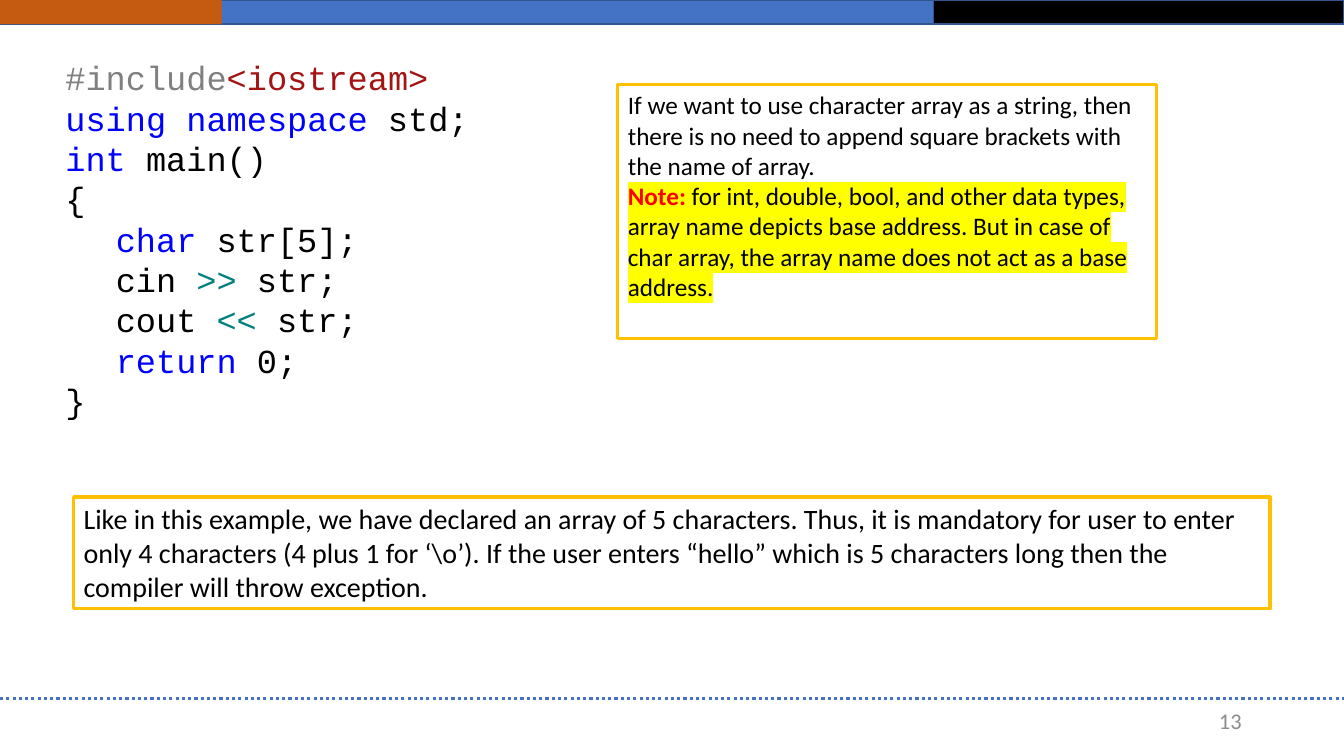
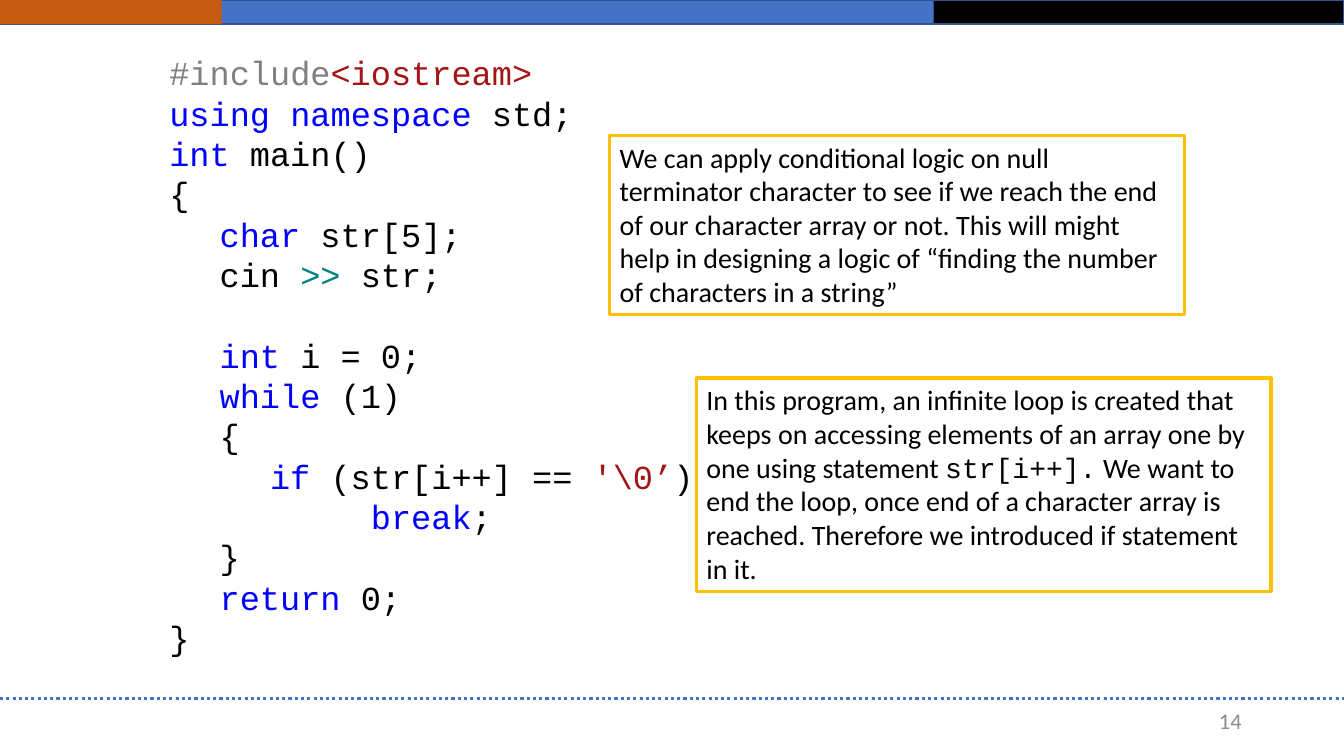
from pptx import Presentation
from pptx.dml.color import RGBColor
from pptx.enum import dml, shapes, text
from pptx.oxml.ns import qn
from pptx.util import Pt

WIDTH, HEIGHT = 960, 540
BAND_HEIGHT = 17.3
FOOTER_Y = 499
INDENT = 36

BODY_FONT, CODE_FONT = "Calibri", "Courier New"
BLACK, BLUE, ORANGE, GOLD = "000000", "4472C4", "C55A11", "FFC000"
BAND_EDGE, GREY, RED, YELLOW = "325491", "8C8C8C", "FF0000", "FFFF00"
DIRECTIVE, LITERAL, KEYWORD, OPERATOR = "808080", "A31515", "0000FF", "008080"

# A code line is (indent level, (text, colour), ...).
PROGRAM_START = [
    (0, ("#include", DIRECTIVE), ("<iostream>", LITERAL)),
    (0, ("using namespace", KEYWORD), (" std;", BLACK)),
    (0, ("int", KEYWORD), (" main()", BLACK)),
    (0, ("{", BLACK)),
    (1, ("char", KEYWORD), (" str[5];", BLACK)),
    (1, ("cin ", BLACK), (">>", OPERATOR), (" str;", BLACK)),
]
PROGRAM_END = [
    (1, ("return", KEYWORD), (" 0;", BLACK)),
    (0, ("}", BLACK)),
]
PRINT_STRING = [
    (1, ("cout ", BLACK), ("<<", OPERATOR), (" str;", BLACK)),
]
FIND_END = [
    (1, ("int ", KEYWORD), ("i = 0;", BLACK)),
    (1, ("while", KEYWORD), (" (1)", BLACK)),
    (1, ("{", BLACK)),
    (2, ("if", KEYWORD), (" (str[i++] == ", BLACK), ("'\\0’", LITERAL),
     (")", BLACK)),
    (4, ("break", KEYWORD), (";", BLACK)),
    (1, ("}", BLACK)),
]


def rgb(color):
    return RGBColor.from_string(color)


def add_run(p, content, size, font=BODY_FONT, color=BLACK, bold=False,
            highlight=None):
    r = p.add_run()
    r.text = content
    r.font.size = Pt(size)
    r.font.name = font
    r.font.bold = bold
    r.font.color.rgb = rgb(color)
    if highlight:
        fill = r._r.rPr.find(qn("a:solidFill"))
        mark = fill.makeelement(qn("a:highlight"), {})
        fill.addnext(mark)
        mark.append(mark.makeelement(qn("a:srgbClr"), {"val": highlight}))


def add_text_box(s, x, y, w, h):
    sp = s.shapes.add_textbox(Pt(x), Pt(y), Pt(w), Pt(h))
    sp.text_frame.word_wrap = True
    return sp


def add_band(s, x, w, color, edge=None):
    sp = s.shapes.add_shape(shapes.MSO_SHAPE.RECTANGLE,
                            Pt(x), 0, Pt(w), Pt(BAND_HEIGHT))
    sp.shadow.inherit = False
    sp.fill.solid()
    sp.fill.fore_color.rgb = rgb(color)
    if edge:
        sp.line.color.rgb = rgb(edge)
        sp.line.width = Pt(1)
    else:
        sp.line.fill.background()


def add_footer(s, number):
    line = s.shapes.add_connector(shapes.MSO_CONNECTOR.STRAIGHT,
                                  0, Pt(FOOTER_Y), Pt(WIDTH), Pt(FOOTER_Y))
    line.line.color.rgb = rgb(BLUE)
    line.line.width = Pt(2.25)
    line.line.dash_style = dml.MSO_LINE.ROUND_DOT
    props = line._element.spPr
    props.append(props.makeelement(qn("a:effectLst"), {}))

    tf = add_text_box(s, 678, 500.4, 216, 28.8).text_frame
    tf.vertical_anchor = text.MSO_ANCHOR.MIDDLE
    p = tf.paragraphs[0]
    p.alignment = text.PP_ALIGN.RIGHT
    add_run(p, str(number), 16, color=GREY)


def new_slide(prs, number):
    """Add a slide with the shared top bands and footer."""
    s = prs.slides.add_slide(prs.slide_layouts[6])
    add_band(s, 0, 667, BLUE, BAND_EDGE)
    add_band(s, 667, WIDTH - 667, BLACK, BAND_EDGE)
    add_band(s, 0, 158.4, ORANGE)
    add_footer(s, number)
    return s


def add_code(s, x, y, h, lines, gap_before=None):
    """Set code lines, with one line of space before the line gap_before."""
    tf = add_text_box(s, x, y, 480, h).text_frame
    for i, (level, *parts) in enumerate(lines):
        p = tf.paragraphs[0] if i == 0 else tf.add_paragraph()
        if level:
            p._p.get_or_add_pPr().set("marL", str(Pt(level * INDENT)))
        if i == gap_before:
            p.space_before = Pt(29)
        for content, color in parts:
            add_run(p, content, 24, CODE_FONT, color)


def add_note(s, x, y, w, h, size, *paragraphs):
    """Add a gold-framed box; a paragraph is a list of (text, run options)."""
    sp = add_text_box(s, x, y, w, h)
    sp.line.color.rgb = rgb(GOLD)
    sp.line.width = Pt(2.25)
    tf = sp.text_frame
    for i, parts in enumerate(paragraphs):
        p = tf.paragraphs[0] if i == 0 else tf.add_paragraph()
        for content, options in parts:
            add_run(p, content, size, **options)


def build_string_input(prs):
    s = new_slide(prs, 13)
    add_code(s, 39.6, 37.4, 269, PROGRAM_START + PRINT_STRING + PROGRAM_END)
    add_note(
        s, 441.4, 60.5, 384.5, 181.5, 18,
        [("If we want to use character array as a string, then there is no "
          "need to append square brackets with the name of array.", {})],
        [("Note: ", {"color": RED, "bold": True, "highlight": YELLOW}),
         ("for int, double, bool, and other data types, array name depicts "
          "base address. But in case of char array, the array name does not "
          "act as a base address.", {"highlight": YELLOW})])
    add_note(
        s, 52.6, 355, 854.6, 80, 20,
        [("Like in this example, we have declared an array of 5 characters. "
          "Thus, it is mandatory for user to enter only 4 characters (4 plus "
          "1 for ‘\\o’). If the user enters “hello” which is 5 characters "
          "long then the compiler will throw exception.", {})])


def build_null_terminator(prs):
    s = new_slide(prs, 14)
    add_code(s, 113.8, 33.8, 443.5, PROGRAM_START + FIND_END + PROGRAM_END,
             gap_before=len(PROGRAM_START))
    add_note(
        s, 435.6, 96.5, 410.4, 128.2, 20,
        [("We can apply conditional logic on null terminator character to "
          "see if we reach the end of our character array or not. This will "
          "might help in designing a logic of “finding the number of "
          "characters in a string”", {})])
    add_note(
        s, 497.5, 270, 410.4, 152.6, 20,
        [("In this program, an infinite loop is created that keeps on "
          "accessing elements of an array one by one using statement ", {}),
         ("str[i++].", {"font": CODE_FONT}),
         (" We want to end the loop, once end of a character array is "
          "reached. Therefore we introduced if statement in it.", {})])


def main():
    prs = Presentation()
    prs.slide_width, prs.slide_height = Pt(WIDTH), Pt(HEIGHT)
    build_string_input(prs)
    build_null_terminator(prs)
    prs.save("out.pptx")


if __name__ == "__main__":
    main()
